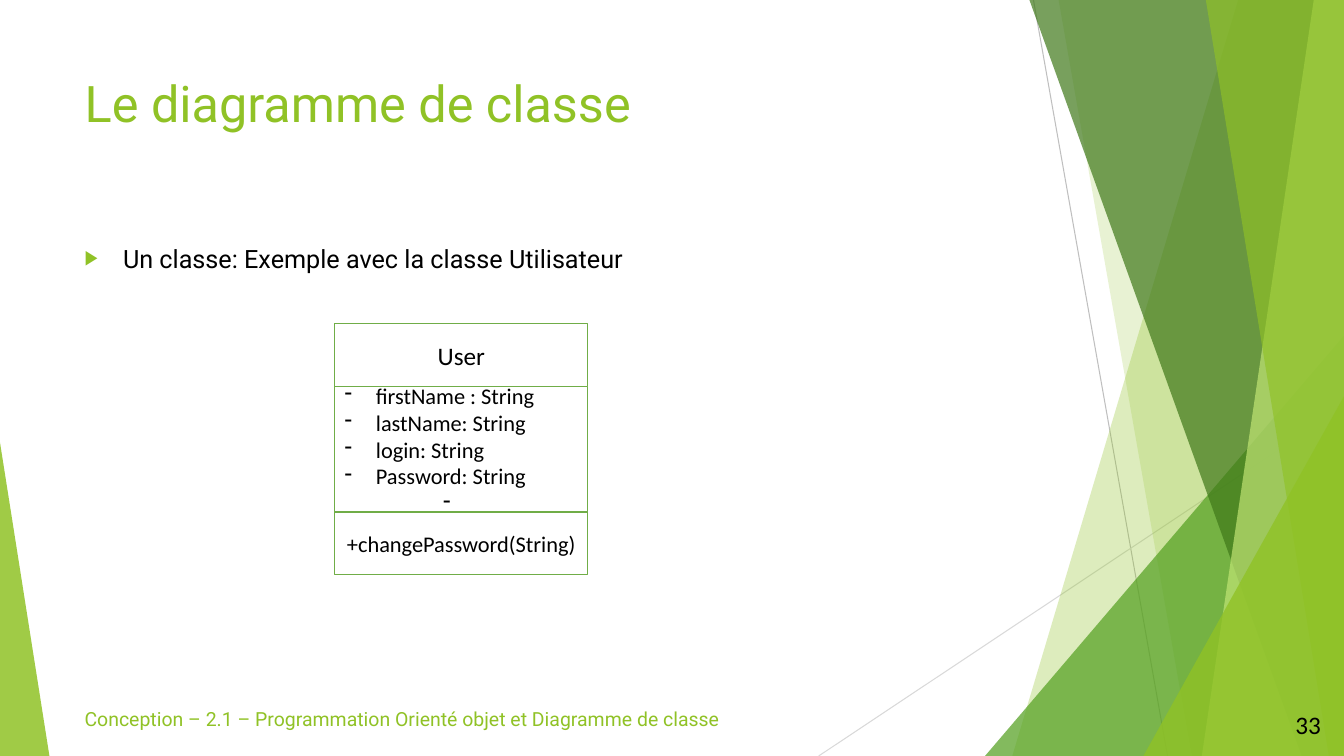
from lxml import etree
from pptx import Presentation
from pptx.dml.color import RGBColor
from pptx.enum.shapes import MSO_CONNECTOR, MSO_SHAPE
from pptx.enum.text import MSO_ANCHOR, MSO_AUTO_SIZE, PP_ALIGN
from pptx.oxml.ns import qn
from pptx.util import Inches, Pt

LEFT, CENTER, RIGHT = PP_ALIGN.LEFT, PP_ALIGN.CENTER, PP_ALIGN.RIGHT
TOP, MIDDLE = MSO_ANCHOR.TOP, MSO_ANCHOR.MIDDLE
NO_FIT = MSO_AUTO_SIZE.NONE
STRAIGHT, RECTANGLE = MSO_CONNECTOR.STRAIGHT, MSO_SHAPE.RECTANGLE

WIDTH, HEIGHT = 13.33, 7.5
GREEN, BORDER, BLACK, WHITE = "90C226", "70AD47", "000000", "FFFFFF"

RAYS = [((10.25, 0), (11.58, HEIGHT), "BFBFBF"), ((WIDTH, 4.03), (8.12, HEIGHT), "D9D9D9")]
BOTTOM_RIGHT = (WIDTH, HEIGHT)
RIGHT_EDGE = [(WIDTH, 0), BOTTOM_RIGHT]
FACETS = [
    ([(12.28, 0), *RIGHT_EDGE, (10.04, HEIGHT)], GREEN, 30),
    ([(10.5, 0), *RIGHT_EDGE, (11.82, HEIGHT)], GREEN, 20),
    ([(9.77, HEIGHT), (WIDTH, 3.33), BOTTOM_RIGHT], "54A021", 72),
    ([(10.21, 0), *RIGHT_EDGE, (12.91, HEIGHT)], "3F7819", 70),
    ([(13.03, 0), *RIGHT_EDGE, (11.92, HEIGHT)], "C0E474", 70),
    ([(11.96, 0), *RIGHT_EDGE, (13.18, HEIGHT)], GREEN, 65),
    ([(11.34, HEIGHT), (WIDTH, 3.93), BOTTOM_RIGHT], GREEN, 80),
    ([(0, HEIGHT), (0, 4.39), (0.49, HEIGHT)], GREEN, 85),
]
ATTRIBUTES = ["firstName : String", "lastName: String", "login: String", "Password: String"]


def rgb(value):
    """Turn a hex string into a colour."""
    return RGBColor.from_string(value)


def place(sp, left, top, width, height):
    """Move and size a shape, in inches."""
    sp.left, sp.top = Inches(left), Inches(top)
    sp.width, sp.height = Inches(width), Inches(height)


def setup_frame(sp, anchor):
    """Prepare a shape's text frame and return it."""
    tf = sp.text_frame
    tf.word_wrap = True
    tf.auto_size = NO_FIT
    tf.vertical_anchor = anchor
    return tf


def write(p, text, size, font, color, align=LEFT):
    """Fill a paragraph with one formatted run."""
    p.alignment = align
    r = p.add_run()
    r.text = text
    r.font.size = Pt(size)
    r.font.name = font
    r.font.color.rgb = rgb(color)


def add_bullet(p, char, color, indent, percent=100):
    """Give a paragraph a hanging bullet."""
    pPr = p._p.get_or_add_pPr()
    pPr.set("marL", str(Inches(indent)))
    pPr.set("indent", str(-Inches(indent)))
    buClr = etree.SubElement(pPr, qn("a:buClr"))
    etree.SubElement(buClr, qn("a:srgbClr"), val=color)
    etree.SubElement(pPr, qn("a:buSzPct"), val=str(percent * 1000))
    etree.SubElement(pPr, qn("a:buChar"), char=char)


def add_ray(s, start, end, color):
    """Draw a thin background line."""
    line = s.shapes.add_connector(STRAIGHT, *map(Inches, start + end))
    line.line.color.rgb = rgb(color)
    line.line.width = Pt(0.75)
    etree.SubElement(line._element.spPr, qn("a:effectLst"))


def add_facet(s, points, color, opacity):
    """Draw a translucent background polygon."""
    corners = [(Inches(x), Inches(y)) for x, y in points]
    builder = s.shapes.build_freeform(*corners[0])
    builder.add_line_segments(corners[1:], close=True)
    sp = builder.convert_to_shape()
    sp.shadow.inherit = False
    sp.line.fill.background()
    sp.fill.solid()
    sp.fill.fore_color.rgb = rgb(color)
    clr = sp._element.spPr.find(qn("a:solidFill")).find(qn("a:srgbClr"))
    etree.SubElement(clr, qn("a:alpha"), val=str(opacity * 1000))


def add_background(s):
    """Draw the rays and facets."""
    for ray in RAYS:
        add_ray(s, *ray)
    for facet in FACETS:
        add_facet(s, *facet)


def add_heading(s, left, top, width):
    """Fill the title and body placeholders."""
    title, body = s.shapes.title, s.placeholders[1]
    place(title, left, top, width, 1.44)
    write(setup_frame(title, TOP).paragraphs[0], "Le diagramme de classe", 36, "Roboto", GREEN)
    place(body, left, top + 1.69, width, 4.24)
    p = setup_frame(body, TOP).paragraphs[0]
    add_bullet(p, "▶", GREEN, 0.38, 80)
    p.space_before = Pt(10)
    write(p, "Un classe: Exemple avec la classe Utilisateur", 18, "Roboto", BLACK)


def add_compartment(s, left, top, width, height):
    """Draw one outlined box of the class and return its text frame."""
    sp = s.shapes.add_shape(RECTANGLE, *map(Inches, (left, top, width, height)))
    sp.shadow.inherit = False
    sp.fill.solid()
    sp.fill.fore_color.rgb = rgb(WHITE)
    sp.line.color.rgb = rgb(BORDER)
    sp.line.width = Pt(1)
    return setup_frame(sp, MIDDLE)


def add_class(s, left, top, width, height):
    """Draw the class with its name, attributes and method."""
    unit = height / 4
    name = add_compartment(s, left, top, width, unit)
    write(name.paragraphs[0], "User", 18, "Calibri", BLACK, CENTER)
    attributes = add_compartment(s, left, top + unit, width, 2 * unit)
    for i, text in enumerate(ATTRIBUTES + [" "]):
        p = attributes.add_paragraph() if i else attributes.paragraphs[0]
        add_bullet(p, "-", BLACK, 0.31)
        write(p, text, 16, "Calibri", BLACK, LEFT if text.strip() else CENTER)
    method = add_compartment(s, left, top + 3 * unit, width, unit)
    write(method.paragraphs[0], "+changePassword(String)", 16, "Calibri", BLACK, CENTER)


def add_footer(s, top, height):
    """Write the course line and the page number."""
    course = s.shapes.add_textbox(*map(Inches, (0.74, top, 7.32, height)))
    p = setup_frame(course, TOP).paragraphs[0]
    p.line_spacing = 0.9
    write(p, "Conception – 2.1 – Programmation Orienté objet et Diagramme de classe",
          13.9, "Roboto", GREEN)
    number = s.shapes.add_textbox(*map(Inches, (12.45, top, 0.75, height)))
    write(setup_frame(number, MIDDLE).paragraphs[0], "33", 18, "Calibri", BLACK, RIGHT)


def main():
    """Build and save the slide."""
    prs = Presentation()
    prs.slide_width, prs.slide_height = Inches(WIDTH), Inches(HEIGHT)
    s = prs.slides.add_slide(prs.slide_layouts[1])
    add_background(s)
    add_heading(s, 0.74, 0.67, 9.4)
    add_footer(s, 6.99, 0.4)
    add_class(s, 3.32, 3.21, 2.51, 2.49)
    prs.save("out.pptx")


if __name__ == "__main__":
    main()
